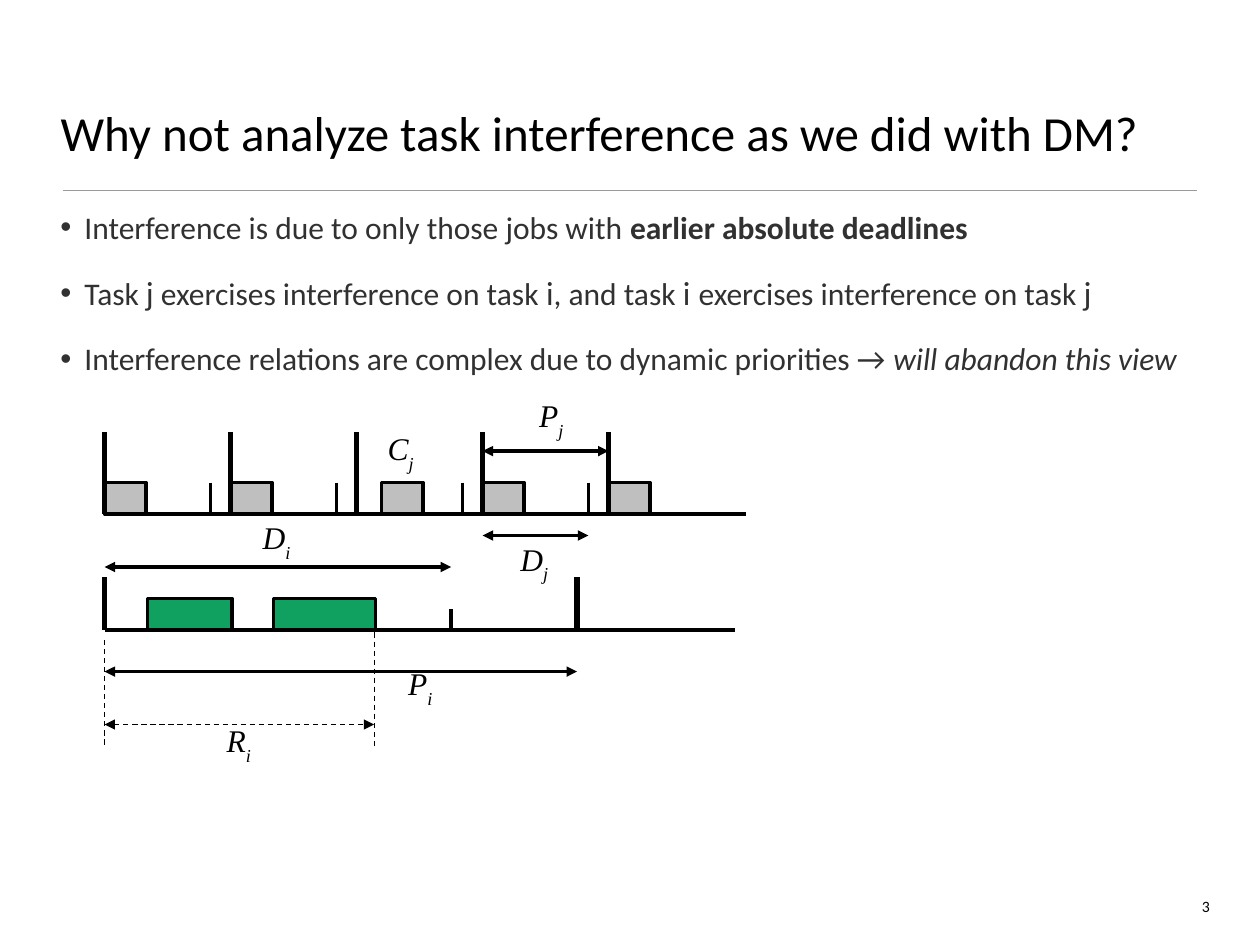
from lxml import etree
from pptx import Presentation
from pptx.dml.color import RGBColor
from pptx.enum import dml, shapes, text
from pptx.oxml import ns
from pptx.util import Inches, Pt

BLACK, BODY, RULE, GRAY, GREEN = "000000", "313131", "9A9A9A", "BFBFBF", "10A060"

TITLE = "Why not analyze task interference as we did with DM?"
# Each bullet is a list of (text, format) runs
LATO = {"font": "Lato"}
BULLETS = [
    [("Interference is due to only those jobs with ", {}),
     ("earlier absolute deadlines", {"bold": True})],
    [("Task ", {}), ("j", LATO), (" exercises interference on task ", {}), ("i", LATO),
     (", and task ", {}), ("i ", LATO), ("exercises interference on task ", {}), ("j", LATO)],
    [("Interference relations are complex due to dynamic priorities → ", {}),
     ("will abandon this view", {"italic": True})],
]

# Timelines, in inches
START = 0.83
J_BASE, J_PERIOD, J_DEADLINE, J_COST = 4.08, 1, 0.84, 0.33
J_DELAYS = [0, 0, 0.2, 0, 0]
I_BASE, I_PERIOD, I_DEADLINE, I_RESPONSE = 5, 3.75, 2.75, 2.14
I_RUNS = [(1.17, 0.67), (2.17, 0.81)]
JOB_HEIGHT = 0.25
J_FOURTH = START + 3 * J_PERIOD

# (start, length, y, solid)
SPANS = [
    (J_FOURTH, J_PERIOD, 3.58, True),
    (J_FOURTH, J_DEADLINE, 4.25, True),
    (START, I_DEADLINE, 4.5, True),
    (START, I_PERIOD, 5.33, True),
    (START, I_RESPONSE, 5.75, False),
]
# (symbol, subscript, left, top, width)
LABELS = [
    ("P", "j", 4.24, 3.07, 0.27), ("C", "j", 3.04, 3.33, 0.28),
    ("D", "j", 4.09, 4.21, 0.3), ("D", "i", 2.04, 4.04, 0.31),
    ("P", "i", 3.2, 5.2, 0.27), ("R", "i", 1.75, 5.65, 0.29),
]

presentation = Presentation()
presentation.slide_width, presentation.slide_height = Inches(10), Inches(7.5)
slide = presentation.slides.add_slide(presentation.slide_layouts[6])


def color(value):
    return RGBColor.from_string(value)


def add_line(x1, y1, x2, y2, width=2, stroke=BLACK, dashed=False, arrows=False):
    line = slide.shapes.add_connector(
        shapes.MSO_CONNECTOR.STRAIGHT, Inches(x1), Inches(y1), Inches(x2), Inches(y2))
    line.line.width = Pt(width)
    line.line.color.rgb = color(stroke)
    if dashed:
        line.line.dash_style = dml.MSO_LINE.DASH
    if arrows:
        outline = line.line._get_or_add_ln()
        for end in ("a:headEnd", "a:tailEnd"):
            etree.SubElement(outline, ns.qn(end), type="triangle")
    etree.SubElement(line._element.spPr, ns.qn("a:effectLst"))


def add_job(left, base, width, fill):
    job = slide.shapes.add_shape(
        shapes.MSO_SHAPE.RECTANGLE, Inches(left), Inches(base - JOB_HEIGHT),
        Inches(width), Inches(JOB_HEIGHT))
    job.shadow.inherit = False
    job.fill.solid()
    job.fill.fore_color.rgb = color(fill)
    job.line.color.rgb = color(BLACK)
    job.line.width = Pt(2)


def add_box(left, top, width, height, inset, anchor=text.MSO_ANCHOR.TOP, wrap=True):
    frame = slide.shapes.add_textbox(
        Inches(left), Inches(top), Inches(width), Inches(height)).text_frame
    frame.word_wrap = wrap
    frame.vertical_anchor = anchor
    frame.margin_left = frame.margin_right = Inches(inset)
    frame.margin_top = frame.margin_bottom = Inches(inset if inset < 0.1 else 0.05)
    return frame


def add_run(paragraph, content, size=18, font="Calibri", fill=BLACK,
            bold=False, italic=False, subscript=False):
    run = paragraph.add_run()
    run.text = content
    run.font.size, run.font.name = Pt(size), font
    run.font.bold, run.font.italic = bold, italic
    run.font.color.rgb = color(fill)
    if subscript:
        run._r.get_or_add_rPr().set("baseline", "-31000")


def add_bullet(paragraph):
    properties = paragraph._p.get_or_add_pPr()
    properties.set("marL", str(Inches(0.19)))
    properties.set("indent", str(-Inches(0.19)))
    bullet_color = etree.SubElement(properties, ns.qn("a:buClr"))
    etree.SubElement(bullet_color, ns.qn("a:srgbClr"), val=BODY)
    etree.SubElement(properties, ns.qn("a:buFont"), typeface="Arial")
    etree.SubElement(properties, ns.qn("a:buChar"), char="•")


# Title, bullets and page number
add_line(0.5, 1.51, 9.5, 1.51, width=0.75, stroke=RULE)
title = add_box(0.44, 0.25, 9.12, 1.07, 0.04, text.MSO_ANCHOR.BOTTOM)
add_run(title.paragraphs[0], TITLE, size=28)

body = add_box(0.44, 1.61, 9.13, 5.29, 0.04)
for index, runs in enumerate(BULLETS):
    paragraph = body.add_paragraph() if index else body.paragraphs[0]
    add_bullet(paragraph)
    if index:
        paragraph.space_before = Pt(16)
    for content, style in runs:
        add_run(paragraph, content, fill=BODY, **style)

number = add_box(9.44, 7.07, 0.24, 0.24, 0.1, wrap=False).paragraphs[0]
number.alignment = text.PP_ALIGN.RIGHT
add_run(number, "3", size=9)

# Task j: jobs, releases and deadlines
for index, delay in enumerate(J_DELAYS):
    release = START + index * J_PERIOD
    add_job(release + delay, J_BASE, J_COST, GRAY)
    add_line(release, J_BASE, release, J_BASE - 0.65, width=3)
    if index < len(J_DELAYS) - 1:
        deadline = release + J_DEADLINE
        add_line(deadline, J_BASE - JOB_HEIGHT, deadline, J_BASE)
add_line(START, J_BASE, 5.92, J_BASE)

# Task i: executions, releases, deadline and response time
for left, width in I_RUNS:
    add_job(left, I_BASE, width, GREEN)
for release in (START, START + I_PERIOD):
    add_line(release, I_BASE, release, I_BASE - 0.42, width=3)
add_line(START + I_DEADLINE, I_BASE, START + I_DEADLINE, I_BASE - 0.17)
add_line(START, I_BASE, 5.83, I_BASE)
for x, top in ((START, 5.08), (START + I_RESPONSE, 5.02)):
    add_line(x, top, x, 5.93, width=0.75, dashed=True)

for left, length, y, solid in SPANS:
    add_line(left, y, left + length, y, width=2 if solid else 0.75,
             dashed=not solid, arrows=True)

for symbol, subscript, left, top, width in LABELS:
    frame = add_box(left, top, width, 0.43, 0, text.MSO_ANCHOR.BOTTOM, wrap=False)
    frame.auto_size = text.MSO_AUTO_SIZE.SHAPE_TO_FIT_TEXT
    paragraph = frame.paragraphs[0]
    paragraph.alignment = text.PP_ALIGN.CENTER
    add_run(paragraph, symbol, font="Times New Roman", italic=True)
    add_run(paragraph, subscript, font="Times New Roman", italic=True, subscript=True)

presentation.save("out.pptx")
